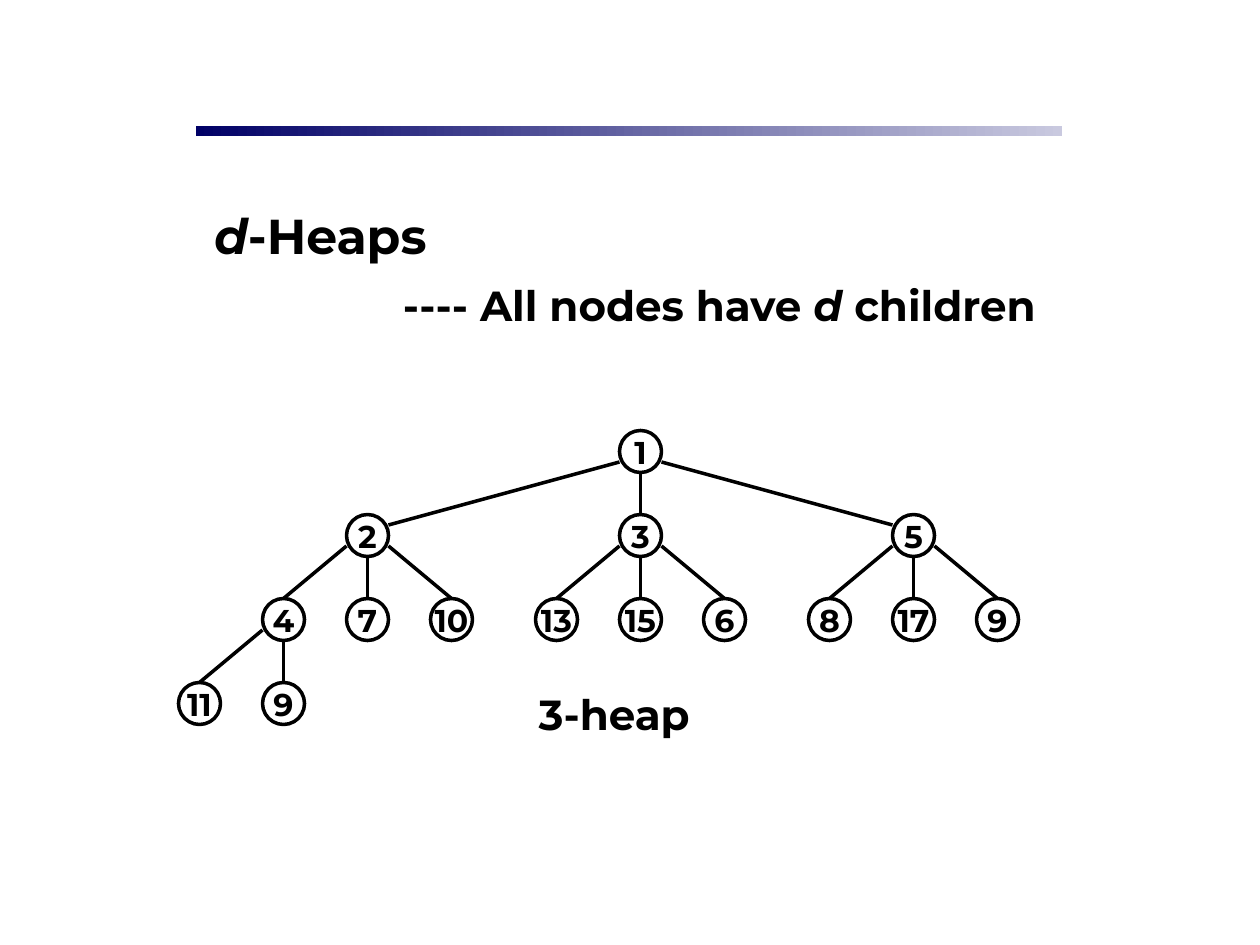
from lxml import etree
from pptx import Presentation
from pptx.dml.color import RGBColor
from pptx.enum.shapes import MSO_CONNECTOR, MSO_SHAPE
from pptx.enum.text import MSO_ANCHOR, MSO_AUTO_SIZE, PP_ALIGN
from pptx.oxml.ns import qn
from pptx.util import Emu, Pt

OVAL, RECTANGLE = MSO_SHAPE.OVAL, MSO_SHAPE.RECTANGLE
STRAIGHT = MSO_CONNECTOR.STRAIGHT
TOP, MIDDLE = MSO_ANCHOR.TOP, MSO_ANCHOR.MIDDLE
CENTER = PP_ALIGN.CENTER
NO_AUTOFIT = MSO_AUTO_SIZE.NONE

EMU_PER_PX = 9525
FONT = "Montserrat"
COLORS = {"ink": "000000", "bar_start": "000066", "bar_end": "C9C9DF"}

# Tree geometry in px
NODE = 32
LEVEL_STEP = 64
SIBLING_STEP = 64
BRANCH_STEP = 208
EDGE_DROP = 24      # slanted edges leave a node this far below its top
SIDE_ENTRY = 8      # long edges enter a child this far below its top

# Each node is (key, children)
HEAP = (1, [
    (2, [(4, [(11, []), (9, [])]), (7, []), (10, [])]),
    (3, [(13, []), (15, []), (6, [])]),
    (5, [(8, []), (17, []), (9, [])]),
])


def px(*lengths):
    return [Emu(length * EMU_PER_PX) for length in lengths]


def color(name):
    return RGBColor.from_string(COLORS[name])


def write(frame, text, size=18, space_before=0, anchor=TOP, wrap=True):
    """Fill a frame with one centred paragraph; *stars* enclose italics."""
    frame.auto_size = NO_AUTOFIT
    frame.word_wrap = wrap
    frame.vertical_anchor = anchor
    para = frame.paragraphs[0]
    para.alignment = CENTER
    para.space_before = Pt(space_before)
    for index, part in enumerate(text.split("*")):
        if not part:
            continue
        span = para.add_run()
        span.text = part
        span.font.name = FONT
        span.font.size = Pt(size)
        span.font.bold = True
        span.font.italic = index % 2 == 1
        span.font.color.rgb = color("ink")


class HeapSlide:
    def __init__(self, page):
        self.page = page
        self.shapes = page.shapes
        self.line_width = Pt(2)

    def stroke(self, line):
        line.color.rgb = color("ink")
        line.width = self.line_width

    def title(self, text, left, top, width, height, **style):
        box = self.shapes.title
        box.left, box.top, box.width, box.height = px(left, top, width, height)
        write(box.text_frame, text, **style)

    def text(self, text, left, top, width, height, **style):
        box = self.shapes.add_textbox(*px(left, top, width, height))
        write(box.text_frame, text, **style)

    def gradient_bar(self, left, top, width, height):
        bar = self.shapes.add_shape(RECTANGLE, *px(left, top, width, height))
        bar.shadow.inherit = False
        bar.line.fill.background()
        bar.fill.gradient()
        bar.fill.gradient_angle = 0
        for stop, name in zip(bar.fill.gradient_stops, ("bar_start", "bar_end")):
            stop.color.rgb = color(name)

    def node(self, key, center, top):
        circle = self.shapes.add_shape(
            OVAL, *px(center - NODE // 2, top, NODE, NODE))
        circle.shadow.inherit = False
        circle.fill.background()
        self.stroke(circle.line)
        write(circle.text_frame, str(key), anchor=MIDDLE, wrap=False)
        return circle

    def edge(self, center, top, child_center, child_top, child):
        shift = child_center - center
        side = (shift > 0) - (shift < 0)
        start_x = center + side * NODE // 2
        start_y = top + (EDGE_DROP if side else NODE)
        is_long = abs(shift) > SIBLING_STEP
        end_x = child_center - side * NODE // 2 if is_long else child_center
        end_y = child_top + SIDE_ENTRY if is_long else child_top
        line = self.shapes.add_connector(
            STRAIGHT, *px(start_x, start_y, end_x, end_y))
        self.stroke(line.line)
        etree.SubElement(line._element.spPr, qn("a:effectLst"))
        if not is_long:
            line.end_connect(child, 0)

    def tree(self, heap, center, top, step):
        key, children = heap
        circle = self.node(key, center, top)
        child_top = top + LEVEL_STEP
        for index, child in enumerate(children):
            child_center = center + (index - 1) * step
            child_circle = self.tree(child, child_center, child_top, SIBLING_STEP)
            self.edge(center, top, child_center, child_top, child_circle)
        return circle


def main():
    deck = Presentation()
    deck.slide_width, deck.slide_height = px(960, 720)
    title_only = deck.slide_layouts[5]
    slide = HeapSlide(deck.slides.add_slide(title_only))

    # Heading
    slide.gradient_bar(149, 96, 660, 8)
    slide.title("*d*-Heaps", 48, 152, 392, 55, size=28, space_before=17.5)
    slide.text("---- All nodes have *d* children", 272, 208, 552, 48,
               size=24, space_before=15)

    # Heap diagram and its label
    slide.tree(HEAP, 488, 328, BRANCH_STEP)
    slide.text("3-heap", 352, 520, 232, 48, size=24, space_before=15)

    deck.save("out.pptx")


if __name__ == "__main__":
    main()
